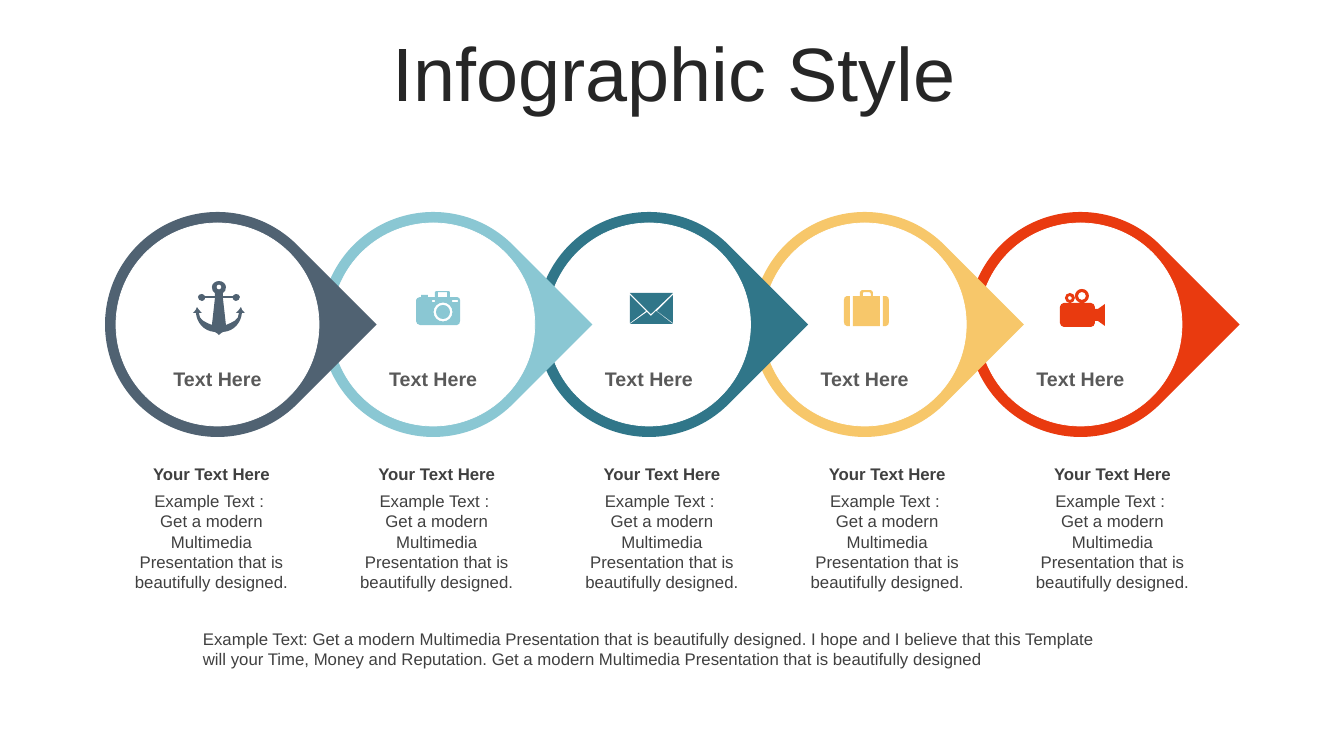
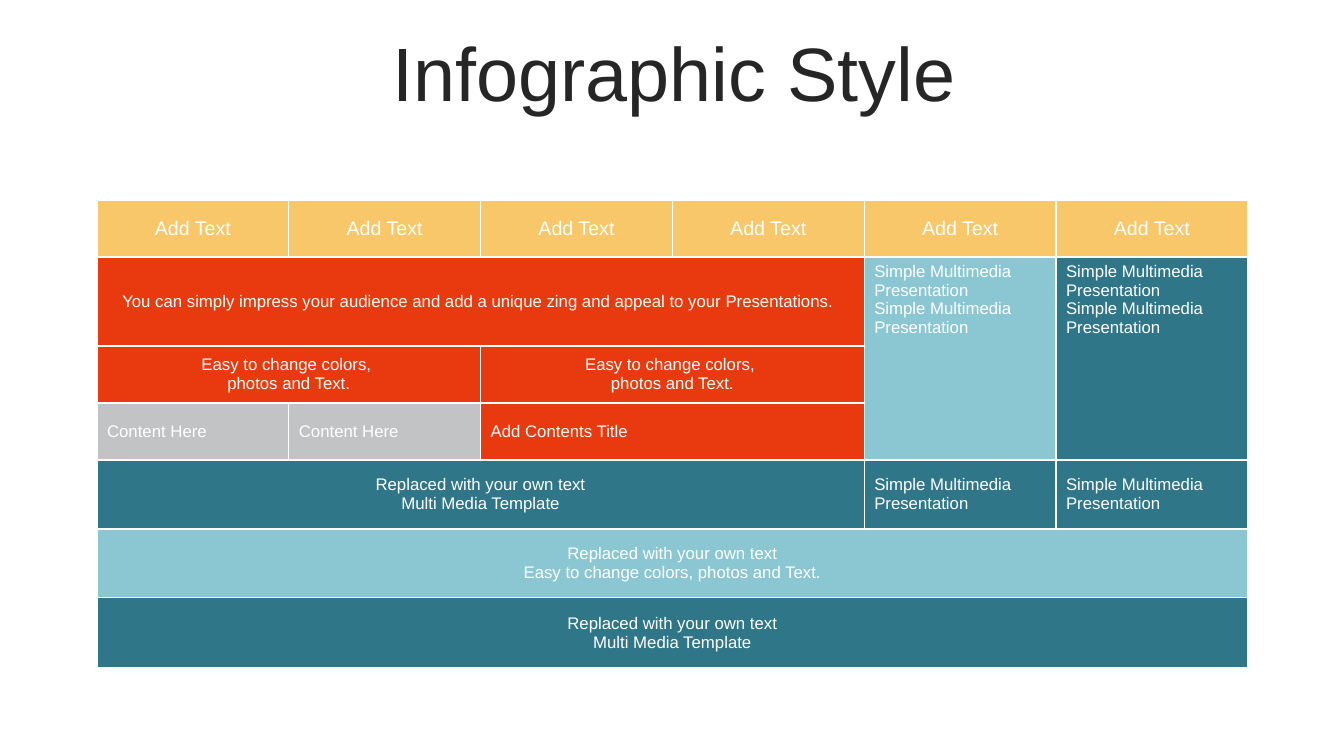
from dataclasses import dataclass

from lxml import etree
from pptx import Presentation
from pptx.dml.color import RGBColor
from pptx.enum import shapes, text
from pptx.oxml.ns import qn
from pptx.util import Pt

SCALE = 914400 / 100.8
CENTER, LEFT = text.PP_ALIGN.CENTER, text.PP_ALIGN.LEFT
MIDDLE, TOP = text.MSO_ANCHOR.MIDDLE, text.MSO_ANCHOR.TOP


@dataclass(frozen=True)
class Theme:
    font: str = "Arial"
    white: str = "FFFFFF"
    slate: str = "506272"
    sky: str = "8AC7D3"
    teal: str = "307689"
    gold: str = "F7C76A"
    red: str = "E93A0F"
    silver: str = "C1C3C4"
    title: str = "262626"
    label: str = "595959"
    body: str = "404040"
    title_pt: int = 54
    label_pt: int = 14
    body_pt: int = 12


T = Theme()


def px(n):
    return round(n * SCALE)


def box(*lengths):
    return [px(n) for n in lengths]


def rgb(value):
    return RGBColor.from_string(value)


def outline(*points):
    nodes = []
    for pt in points:
        if len(pt) == 6:
            nodes += [(*pt[:2], False), (*pt[2:4], False)]
        nodes.append((*pt[-2:], True))
    return nodes


def mirrored(axis, *points):
    half = outline(*points)
    return half + [(2 * axis - x, y, on) for x, y, on in reversed(half)]


def circle(cx, cy, r):
    k = 0.55 * r
    return outline(
        (cx, cy - r),
        (cx + k, cy - r, cx + r, cy - k, cx + r, cy),
        (cx + r, cy + k, cx + k, cy + r, cx, cy + r),
        (cx - k, cy + r, cx - r, cy + k, cx - r, cy),
        (cx - r, cy - k, cx - k, cy - r, cx, cy - r))


def rect(x1, y1, x2, y2):
    return outline((x1, y1), (x2, y1), (x2, y2), (x1, y2))


ANCHOR = [
    mirrored(25, (25, 0), (29, 0, 32, 3, 32, 6), (32, 9, 31, 11, 29, 12), (29, 15), (39, 15),
             (40, 14, 41, 13, 42, 13), (44, 13, 46, 14, 46, 16), (46, 18, 44, 20, 42, 20),
             (41, 20, 40, 19, 39, 18), (39, 17), (29, 17), (32, 44), (39, 41, 45, 39, 45, 32),
             (42, 32), (44, 30, 46, 28, 47, 26), (47, 28, 49, 30, 51, 32), (48, 32),
             (47, 41, 41, 50, 29, 51), (27, 52, 26, 53, 25, 54)),
    circle(25, 6, 2.5),
]
CAMERA = [
    outline((20, 0), (33, 0), (34, 1), (34, 6), (41, 6), (43, 6, 44, 8, 44, 9), (44, 30),
            (44, 32, 43, 34, 41, 34), (4, 34), (2, 34, 0, 32, 0, 30), (0, 9),
            (0, 8, 2, 6, 4, 6), (5, 6), (5, 4), (12, 4), (12, 6), (19, 6), (19, 1)),
    rect(22, 1, 31, 6), rect(16, 9, 19, 11), rect(36, 9, 42, 11),
    circle(27, 21, 9.5), circle(27, 21, 7),
]
ENVELOPE = [
    outline((26, 18), (43, 31), (0, 31), (17, 19), (21, 23)),
    outline((43, 2), (43, 30), (27, 18)),
    outline((0, 2), (16, 18), (0, 30)),
    outline((0, 0), (43, 0), (21, 21)),
]
SUITCASE = [
    outline((39, 6), (42, 6), (44, 6, 45, 8, 45, 10), (45, 32), (45, 34, 44, 36, 42, 36), (39, 36)),
    outline((3, 6), (6, 6), (6, 36), (3, 36), (1, 36, 0, 34, 0, 32), (0, 10), (0, 8, 1, 6, 3, 6)),
    outline((18, 0), (27, 0), (28, 0, 29, 1, 29, 2), (29, 6), (36, 6), (36, 36), (9, 36), (9, 6),
            (16, 6), (16, 2), (16, 1, 17, 0, 18, 0)),
    outline((20, 2), (19, 2, 19, 3, 19, 4), (19, 6), (27, 6), (27, 4), (27, 3, 26, 2, 25, 2)),
]
FILM_CAMERA = [
    outline((4, 14), (31, 14), (33, 14, 35, 16, 35, 18), (35, 20), (38, 20), (45, 15), (45, 37),
            (38, 32), (35, 32), (35, 34), (35, 36, 33, 38, 31, 38), (4, 38),
            (2, 38, 0, 36, 0, 34), (0, 18), (0, 16, 2, 14, 4, 14)),
    circle(22, 7, 7), circle(22, 7, 4), circle(10, 9, 5), circle(10, 9, 2),
]

TITLE = "Infographic Style"
STEPS = [
    (T.slate, ANCHOR, (194, 281)),
    (T.sky, CAMERA, (416, 291)),
    (T.teal, ENVELOPE, (630, 293)),
    (T.gold, SUITCASE, (844, 290)),
    (T.red, FILM_CAMERA, (1060, 289)),
]
STEP_LABEL = ["Text Here"]
CAPTION_HEAD = ["Your Text Here"]
CAPTION_BODY = ["Example Text : ", "Get a modern Multimedia Presentation that is beautifully designed."]
SUMMARY = ["Example Text: Get a modern Multimedia Presentation that is beautifully designed. "
           "I hope and I believe that this Template will your Time, Money and Reputation. "
           "Get a modern Multimedia Presentation that is beautifully designed"]

SIMPLE = "Simple Multimedia Presentation"
EASY = ["Easy to change colors, ", "photos and Text."]
OWN = "Replaced with your own text"
TEMPLATE = [OWN, "Multi Media Template"]
ROW_HEIGHTS = [57, 89, 57, 57, 69, 69, 70]
COLUMNS, TABLE_WIDTH = 6, 1151
CELLS = [(0, c, 1, 1, T.gold, CENTER, MIDDLE, ["Add Text"]) for c in range(COLUMNS)] + [
    (1, 0, 1, 4, T.red, CENTER, MIDDLE,
     ["You can simply impress your audience and add a unique zing and appeal to your Presentations. "]),
    (1, 4, 3, 1, T.sky, LEFT, TOP, [SIMPLE, SIMPLE]),
    (1, 5, 3, 1, T.teal, LEFT, TOP, [SIMPLE, SIMPLE]),
    (2, 0, 1, 2, T.red, CENTER, MIDDLE, EASY),
    (2, 2, 1, 2, T.red, CENTER, MIDDLE, EASY),
    (3, 0, 1, 1, T.silver, LEFT, MIDDLE, ["Content Here"]),
    (3, 1, 1, 1, T.silver, LEFT, MIDDLE, ["Content Here"]),
    (3, 2, 1, 2, T.red, LEFT, MIDDLE, ["Add Contents Title"]),
    (4, 0, 1, 4, T.teal, CENTER, MIDDLE, TEMPLATE),
    (4, 4, 1, 1, T.teal, LEFT, MIDDLE, [SIMPLE]),
    (4, 5, 1, 1, T.teal, LEFT, MIDDLE, [SIMPLE]),
    (5, 0, 1, 6, T.sky, CENTER, MIDDLE, [OWN, "Easy to change colors, photos and Text."]),
    (6, 0, 1, 6, T.teal, CENTER, MIDDLE, TEMPLATE),
]


def write(tf, lines, size, color, align=CENTER, bold=False, spacing=None):
    for i, line in enumerate(lines):
        p = tf.add_paragraph() if i else tf.paragraphs[0]
        p.alignment = align
        p.space_before = Pt(0)
        if spacing:
            p.line_spacing = spacing
        r = p.add_run()
        r.text = line
        r.font.name, r.font.size, r.font.bold = T.font, Pt(size), bold
        r.font.color.rgb = rgb(color)


def add_text(s, place, lines, size, color, **style):
    tf = s.shapes.add_textbox(*box(*place)).text_frame
    tf.word_wrap = True
    write(tf, lines, size, color, **style)


def paint(sp, fill, line=None):
    sp.shadow.inherit = False
    sp.fill.solid()
    sp.fill.fore_color.rgb = rgb(fill)
    if line:
        sp.line.color.rgb = rgb(line)
        sp.line.width = Pt(0.5)
    else:
        sp.line.fill.background()


def curve_segments(sp, flags):
    segments = [el for el in sp._element.iter(qn("a:moveTo"), qn("a:lnTo"))]
    curve = None
    for el, on in zip(segments, flags):
        if not on and curve is None:
            curve = etree.Element(qn("a:cubicBezTo"))
            el.addprevious(curve)
        if curve is not None:
            curve.append(el[0])
            el.getparent().remove(el)
        if on:
            curve = None


def add_icon(s, contours, origin, color):
    placed = [[box(origin[0] + x, origin[1] + y) for x, y, on in c] for c in contours]
    builder = s.shapes.build_freeform(*placed[0][0], scale=1.0)
    for i, points in enumerate(placed):
        if i:
            builder.move_to(*points[0])
        builder.add_line_segments(points[1:], close=True)
    sp = builder.convert_to_shape()
    curve_segments(sp, [on for c in contours for x, y, on in c])
    paint(sp, color)


def add_slide(prs):
    s = prs.slides.add_slide(prs.slide_layouts[5])
    title = s.shapes.title
    title.left, title.top, title.width, title.height = box(36, 37, 1276, 80)
    tf = title.text_frame
    tf.word_wrap = True
    tf.auto_size = text.MSO_AUTO_SIZE.NONE
    tf.vertical_anchor = MIDDLE
    write(tf, [TITLE], T.title_pt, T.title, spacing=0.9)
    return s


def add_steps(s):
    last = len(STEPS) - 1
    for i, (color, icon, origin) in reversed(list(enumerate(STEPS))):
        left = 105 + 863 * i / last
        drop = s.shapes.add_shape(shapes.MSO_SHAPE.TEAR, *box(left, 212, 225, 225))
        drop.rotation = 45
        paint(drop, color)
        disc = s.shapes.add_shape(shapes.MSO_SHAPE.OVAL, *box(left + 11, 223, 203, 203))
        paint(disc, T.white, T.white)
    for i, (color, icon, origin) in enumerate(STEPS):
        left = 145 + 863 * i / last
        caption = 116 + 901 * i / last
        add_icon(s, icon, origin, color)
        add_text(s, (left, 362, 145, 34), STEP_LABEL, T.label_pt, T.label, bold=True)
        add_text(s, (caption, 459, 191, 30), CAPTION_HEAD, T.body_pt, T.body, bold=True)
        add_text(s, (caption, 486, 191, 112), CAPTION_BODY, T.body_pt, T.body)
    add_text(s, (193, 624, 930, 50), SUMMARY, T.body_pt, T.body, align=LEFT)


def add_borders(cell):
    tc_pr = cell._tc.get_or_add_tcPr()
    for i, side in enumerate(("a:lnL", "a:lnR", "a:lnT", "a:lnB")):
        ln = etree.Element(qn(side), w=str(Pt(1)))
        fill = etree.SubElement(ln, qn("a:solidFill"))
        etree.SubElement(fill, qn("a:srgbClr"), val=T.white)
        tc_pr.insert(i, ln)


def add_grid(s):
    frame = s.shapes.add_table(len(ROW_HEIGHTS), COLUMNS,
                               *box(97, 200, TABLE_WIDTH, sum(ROW_HEIGHTS)))
    table = frame.table
    table.first_row = table.horz_banding = False
    for column in table.columns:
        column.width = px(TABLE_WIDTH / COLUMNS)
    for row, height in zip(table.rows, ROW_HEIGHTS):
        row.height = px(height)
    for cell in table.iter_cells():
        add_borders(cell)
    for row, col, down, across, color, align, anchor, lines in CELLS:
        cell = table.cell(row, col)
        if down * across > 1:
            cell.merge(table.cell(row + down - 1, col + across - 1))
        cell.fill.solid()
        cell.fill.fore_color.rgb = rgb(color)
        cell.vertical_anchor = anchor
        write(cell.text_frame, lines, T.body_pt if row else T.label_pt, T.white, align=align)


def main():
    prs = Presentation()
    prs.slide_width, prs.slide_height = box(1344, 756)
    add_steps(add_slide(prs))
    add_grid(add_slide(prs))
    prs.save("out.pptx")


if __name__ == "__main__":
    main()
